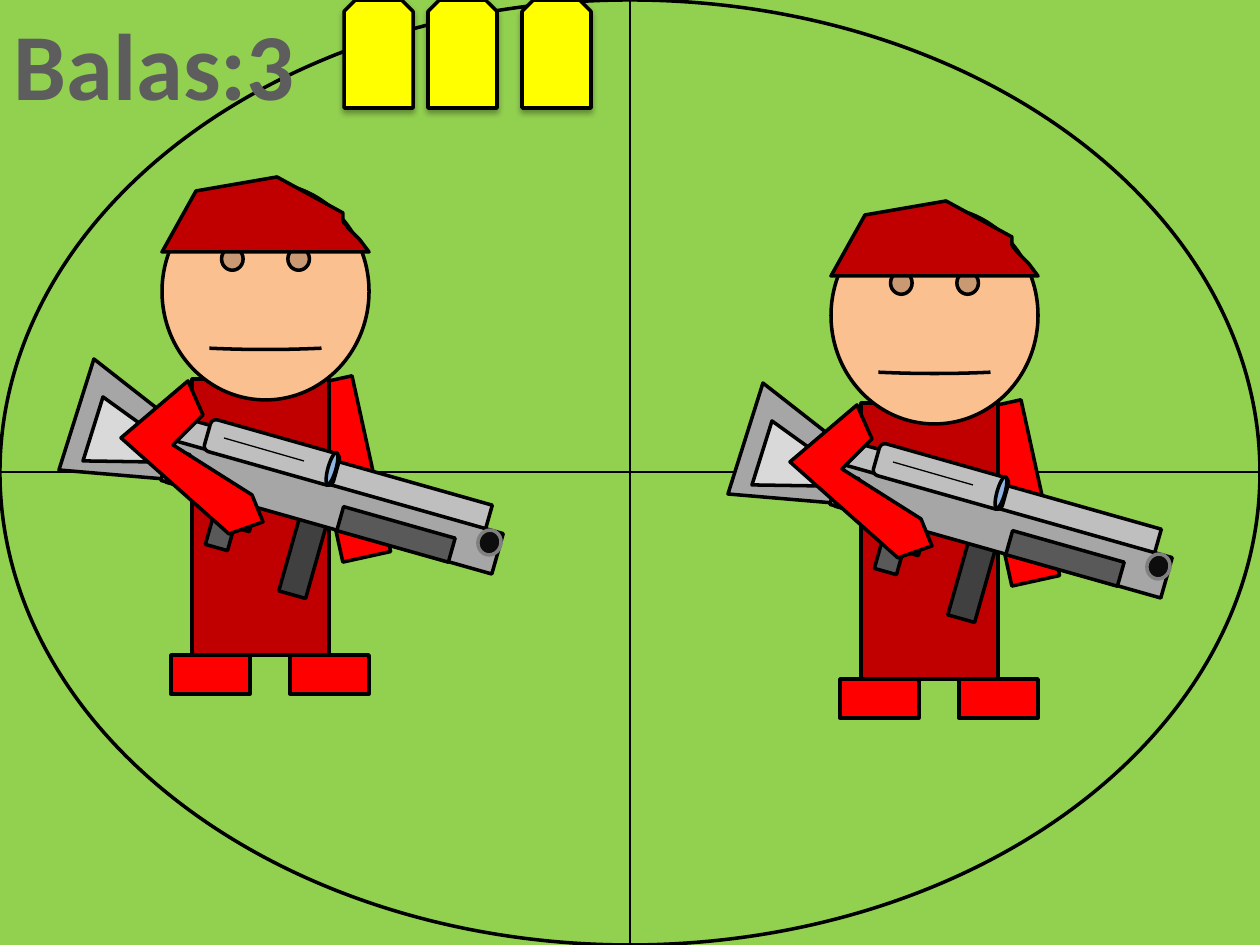
from typing import NamedTuple

from lxml import etree
from pptx import Presentation
from pptx import util as u
from pptx.dml.color import RGBColor
from pptx.enum import shapes, text
from pptx.oxml import parse_xml
from pptx.oxml.ns import qn

EMU = 914400 / 126  # one px
WIDE, HIGH = 1260, 945
TILT = 15.8

BLACK = RGBColor(0, 0, 0)
GREEN = RGBColor(0x92, 0xD0, 0x50)
YELLOW = RGBColor(0xFF, 0xFF, 0)
RED = RGBColor(0xFF, 0, 0)
WINE = RGBColor(0xC0, 0, 0)
SKIN = RGBColor(0xFA, 0xC0, 0x90)
GLASS = RGBColor(0x8E, 0xB4, 0xE3)
INK = RGBColor(0x0D, 0x0D, 0x0D)
COAL = RGBColor(0x40, 0x40, 0x40)
DARK = RGBColor(0x59, 0x59, 0x59)
SLATE = RGBColor(0x5D, 0x5D, 0x5D)
GREY = RGBColor(0x80, 0x80, 0x80)
STEEL = RGBColor(0xA6, 0xA6, 0xA6)
SILVER = RGBColor(0xBF, 0xBF, 0xBF)
PALE = RGBColor(0xD9, 0xD9, 0xD9)

KIND = shapes.MSO_SHAPE
RECT, OVAL = KIND.RECTANGLE, KIND.OVAL

SHADOW = (
    '<a:effectLst xmlns:a="http://schemas.openxmlformats.org/drawingml/2006/main">'
    '<a:outerShdw blurRad="44450" dist="27940" dir="5400000" rotWithShape="0">'
    '<a:srgbClr val="000000"><a:alpha val="32000"/></a:srgbClr>'
    '</a:outerShdw></a:effectLst>'
)


class Part(NamedTuple):
    left: int
    top: int
    width: int
    height: int
    fill: RGBColor | None
    turn: float = 0
    kind: KIND = RECT
    edge: RGBColor = BLACK
    adjust: float | None = None


class Poly(NamedTuple):
    fill: RGBColor
    points: list[tuple[float, float]]


class Stroke(NamedTuple):
    start: tuple[int, int]
    end: tuple[int, int]


def px(size: float) -> int:
    return round(size * EMU)


def curve(a: tuple, b: tuple, c: tuple, d: tuple, steps: int = 8) -> list[tuple]:
    """Points along a cubic Bezier curve, both ends included."""
    spots = []
    for i in range(steps + 1):
        t = i / steps
        s = 1 - t
        mix = (s ** 3, 3 * s * s * t, 3 * s * t * t, t ** 3)
        spots.append(tuple(round(sum(m * p[k] for m, p in zip(mix, (a, b, c, d))), 2)
                           for k in (0, 1)))
    return spots


def paint(shape, fill: RGBColor | None, edge: RGBColor = BLACK) -> None:
    shape.shadow.inherit = False
    if fill is None:
        shape.fill.background()
    else:
        shape.fill.solid()
        shape.fill.fore_color.rgb = fill
    shape.line.color.rgb = edge
    shape.line.width = u.Pt(2)


def draw_part(tree, part: Part, dx: int = 0, dy: int = 0):
    shape = tree.add_shape(part.kind, px(part.left + dx), px(part.top + dy),
                           px(part.width), px(part.height))
    shape.rotation = part.turn
    if part.adjust is not None:
        shape.adjustments[0] = part.adjust
    paint(shape, part.fill, part.edge)
    return shape


def draw_poly(tree, poly: Poly, dx: int, dy: int) -> None:
    pen = tree.build_freeform(*poly.points[0], scale=EMU)
    pen.add_line_segments(poly.points[1:], close=True)
    paint(pen.convert_to_shape(px(dx), px(dy)), poly.fill)


def draw_line(tree, line: Stroke, dx: int = 0, dy: int = 0) -> None:
    (x1, y1), (x2, y2) = line
    wire = tree.add_connector(shapes.MSO_CONNECTOR.STRAIGHT, px(x1 + dx), px(y1 + dy),
                              px(x2 + dx), px(y2 + dy))
    wire.line.color.rgb = BLACK
    wire.line.width = u.Pt(0.75)
    etree.SubElement(wire._element.spPr, qn("a:effectLst"))


BRIM = curve((369, 252), (341, 215), (343, 231), (343, 213))

SOLDIER = [
    Part(323, 379, 49, 180, RED, 347.6),
    Part(192, 379, 137, 276, WINE),
    Part(162, 183, 207, 217, SKIN, kind=KIND.SMILEY_FACE, adjust=0.003),
    Poly(STEEL, [(94, 359), (59, 470), (165, 479), (186, 431)]),
    Poly(PALE, [(103, 397), (83, 461), (151, 462), (164, 441)]),
    Part(294, 481, 28, 116, COAL, TILT),
    Part(215, 475, 23, 74, DARK, TILT),
    Part(174, 461, 321, 25, SILVER, TILT),
    Part(160, 486, 344, 42, STEEL, TILT),
    Part(237, 505, 16, 25, None, TILT),
    Part(205, 436, 134, 33, SILVER, TILT, KIND.ROUNDED_RECTANGLE),
    Part(328, 452, 8, 33, GLASS, TILT, OVAL),
    Part(478, 530, 23, 25, INK, TILT, OVAL, GREY),
    Stroke((224, 438), (304, 461)),
    Part(338, 522, 116, 25, DARK, TILT),
    Part(170, 452, 16, 33, DARK, TILT),
    Poly(WINE, [(162, 252), *BRIM, (277, 177), (196, 191)]),
    Part(171, 655, 79, 39, RED),
    Part(290, 655, 79, 39, RED),
    Poly(RED, [(188, 381), (121, 438), (229, 534), (263, 522), (252, 495),
               (173, 445), (203, 415)]),
]
DRAW = {Part: draw_part, Poly: draw_poly, Stroke: draw_line}


def draw_soldier(tree, dx: int, dy: int) -> None:
    group = tree.add_group_shape().shapes
    for item in SOLDIER:
        DRAW[type(item)](group, item, dx, dy)


def draw_score(tree) -> None:
    box = tree.add_textbox(0, 0, px(309), px(127))
    frame = box.text_frame
    frame.word_wrap = False
    frame.auto_size = text.MSO_AUTO_SIZE.SHAPE_TO_FIT_TEXT
    para = frame.paragraphs[0]
    para.alignment = text.PP_ALIGN.CENTER
    run = para.add_run()
    run.text = "Balas:3"
    for key, value in {"name": "Calibri", "size": u.Pt(54), "bold": True}.items():
        setattr(run.font, key, value)
    run.font.color.rgb = SLATE


def draw_round(tree, left: int) -> None:
    shape = draw_part(tree, Part(left, 0, 69, 108, YELLOW, kind=KIND.SNIP_2_SAME_RECTANGLE))
    props = shape._element.spPr
    props.replace(props.find(qn("a:effectLst")), parse_xml(SHADOW))


def main() -> None:
    deck = Presentation()
    deck.slide_width, deck.slide_height = px(WIDE), px(HIGH)
    slide = deck.slides.add_slide(deck.slide_layouts[6])
    back = slide.background.fill
    back.solid()
    back.fore_color.rgb = GREEN
    tree = slide.shapes

    draw_part(tree, Part(0, 0, WIDE, HIGH, None, kind=OVAL))
    draw_line(tree, Stroke((WIDE // 2, 0), (WIDE // 2, HIGH)))
    draw_line(tree, Stroke((WIDE, HIGH // 2), (0, HIGH // 2)))
    draw_score(tree)
    for left in (344, 522, 428):
        draw_round(tree, left)
    for dx, dy in ((669, 24), (0, 0)):
        draw_soldier(tree, dx, dy)
    deck.save("out.pptx")


if __name__ == "__main__":
    main()
